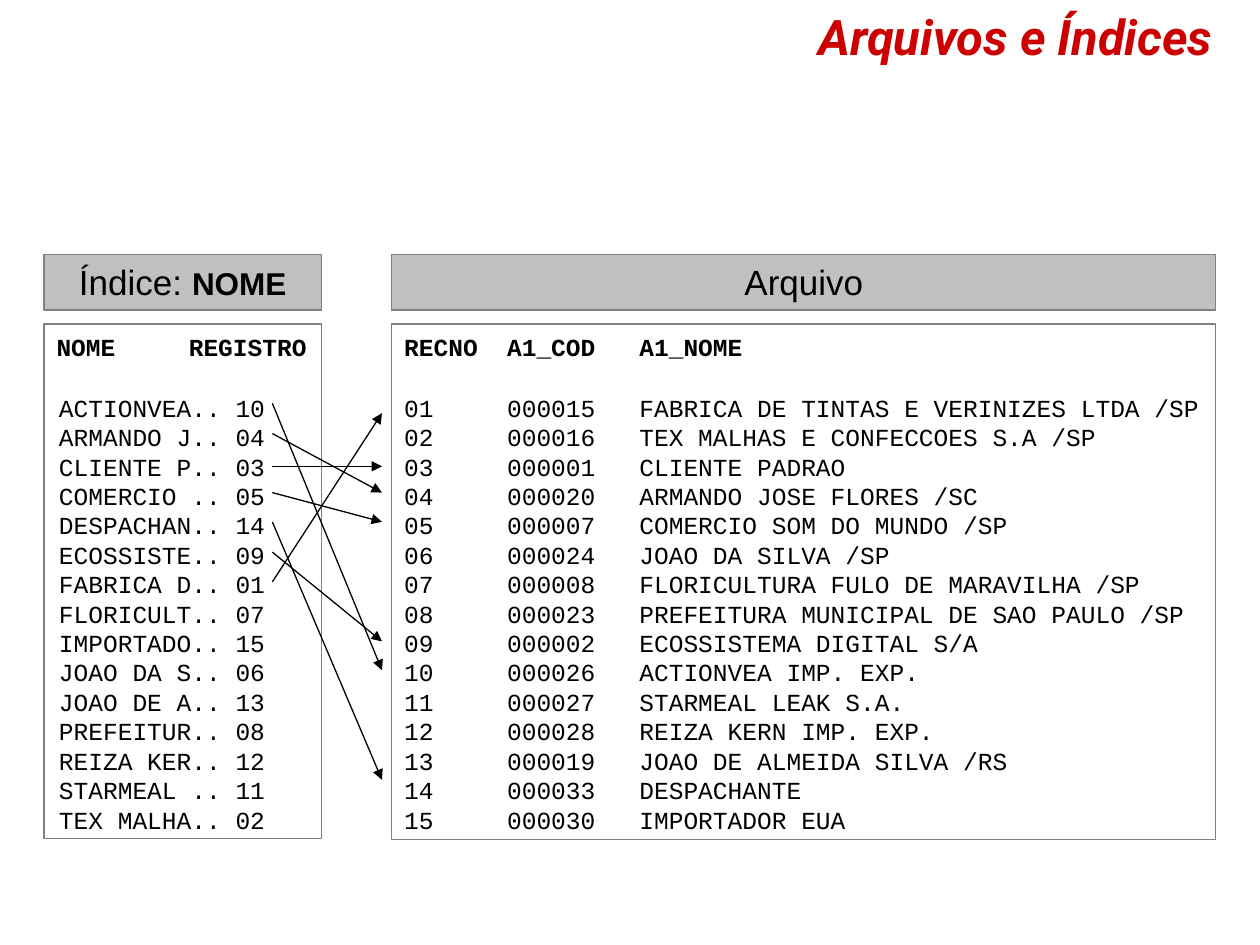
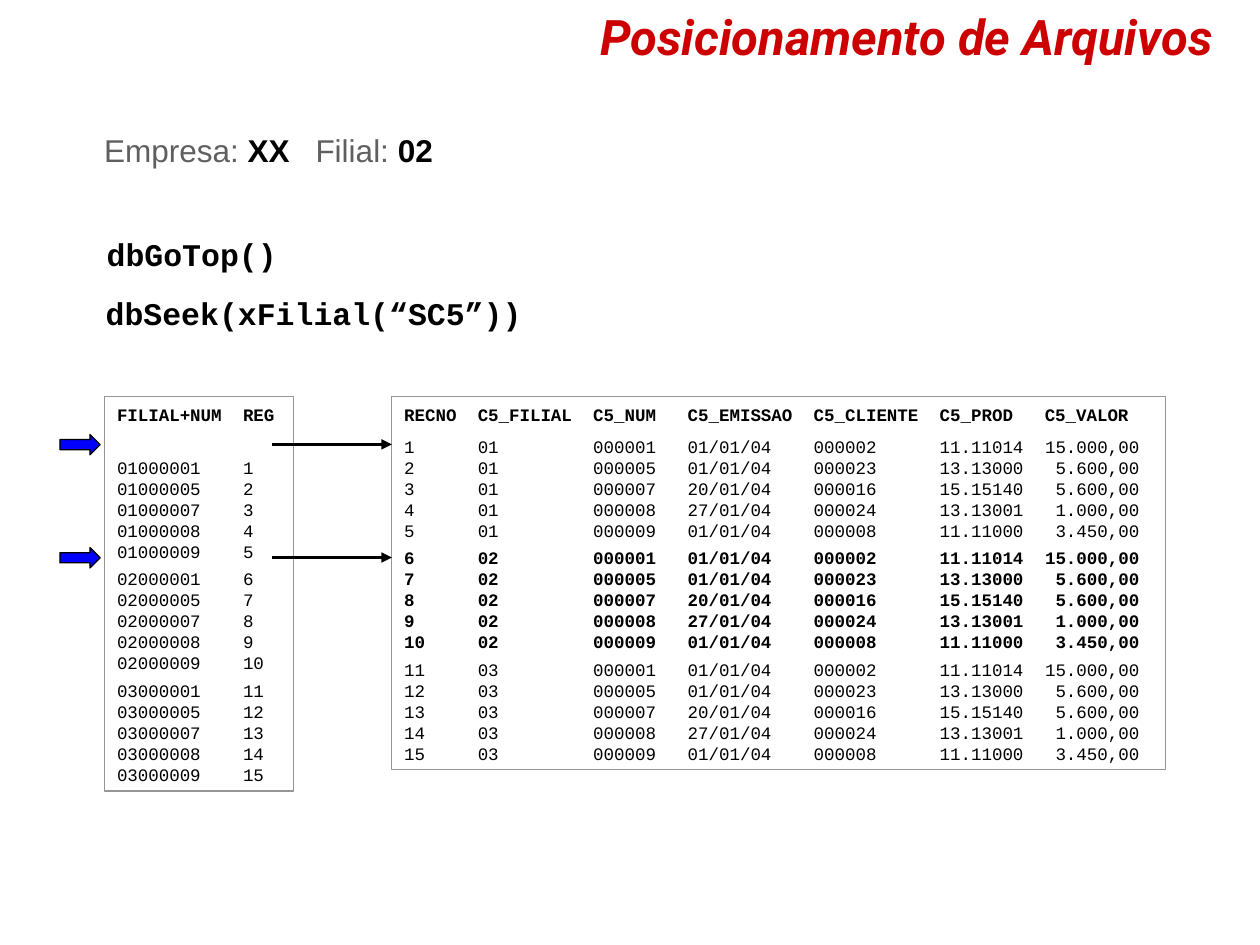
from lxml import etree
from pptx import Presentation
from pptx.dml.color import RGBColor
from pptx.enum.shapes import MSO_CONNECTOR, MSO_SHAPE
from pptx.enum.text import MSO_ANCHOR, PP_ALIGN
from pptx.oxml.ns import qn
from pptx.util import Cm, Pt

RECTANGLE = MSO_SHAPE.RECTANGLE
BLOCK_ARROW = MSO_SHAPE.RIGHT_ARROW
STRAIGHT = MSO_CONNECTOR.STRAIGHT
TOP = MSO_ANCHOR.TOP
LEFT, CENTER, RIGHT = PP_ALIGN.LEFT, PP_ALIGN.CENTER, PP_ALIGN.RIGHT

COLORS = {
    "title": "CC0000", "text": "000000", "label": "5F5F5F", "paper": "FFFFFF",
    "band": "C0C0C0", "band_line": "808080", "panel_line": "969696", "pointer": "0000FF",
}
MONO = "Courier New"
TITLE = {"name": "Roboto", "size": 28, "bold": True, "italic": True, "color": "title"}
BAND = {"name": "Arial", "size": 20, "color": "text"}
BAND_KEY = {"name": "Arial", "size": 18, "bold": True, "color": "text"}
LABEL = {"name": "Arial", "size": 18, "color": "label"}
CODE = {"name": MONO, "size": 18, "bold": True, "color": "text"}
ROW = {"name": MONO, "size": 14, "color": "text"}
HEADER = {**ROW, "bold": True}
SMALL_ROW = {**ROW, "size": 10}
SMALL_HEADER = {**SMALL_ROW, "bold": True}

INDEX_ENTRIES = [
    "ACTIONVEA.. 10", "ARMANDO J.. 04", "CLIENTE P.. 03", "COMERCIO .. 05",
    "DESPACHAN.. 14", "ECOSSISTE.. 09", "FABRICA D.. 01", "FLORICULT.. 07",
    "IMPORTADO.. 15", "JOAO DA S.. 06", "JOAO DE A.. 13", "PREFEITUR.. 08",
    "REIZA KER.. 12", "STARMEAL .. 11", "TEX MALHA.. 02",
]
CUSTOMERS = [
    ("000015", "FABRICA DE TINTAS E VERINIZES LTDA /SP"),
    ("000016", "TEX MALHAS E CONFECCOES S.A /SP"),
    ("000001", "CLIENTE PADRAO"),
    ("000020", "ARMANDO JOSE FLORES /SC"),
    ("000007", "COMERCIO SOM DO MUNDO /SP"),
    ("000024", "JOAO DA SILVA /SP"),
    ("000008", "FLORICULTURA FULO DE MARAVILHA /SP"),
    ("000023", "PREFEITURA MUNICIPAL DE SAO PAULO /SP"),
    ("000002", "ECOSSISTEMA DIGITAL S/A"),
    ("000026", "ACTIONVEA IMP. EXP."),
    ("000027", "STARMEAL LEAK S.A."),
    ("000028", "REIZA KERN IMP. EXP."),
    ("000019", "JOAO DE ALMEIDA SILVA /RS"),
    ("000033", "DESPACHANTE"),
    ("000030", "IMPORTADOR EUA"),
]
LINK_OFFSETS = [
    (0, 5.38), (0.61, 1.8), (1.27, 1.27), (1.8, 2.39),
    (2.39, 7.59), (3, 4.8), (3.6, 0.2),
]
ORDERS = [
    ("000001", "01/01/04", "000002", "11.11014", "15.000,00"),
    ("000005", "01/01/04", "000023", "13.13000", "5.600,00"),
    ("000007", "20/01/04", "000016", "15.15140", "5.600,00"),
    ("000008", "27/01/04", "000024", "13.13001", "1.000,00"),
    ("000009", "01/01/04", "000008", "11.11000", "3.450,00"),
]
ORDER_FIELDS = ["RECNO", "C5_FILIAL", "C5_NUM", "C5_EMISSAO", "C5_CLIENTE", "C5_PROD", "C5_VALOR"]
ORDER_COLUMNS = [7, 18, 27, 39, 51]
BRANCHES = ["01", "02", "03"]
CURRENT_BRANCH = "02"


def color(key):
    """Return a palette colour."""
    return RGBColor.from_string(COLORS[key])


def box_lengths(box):
    """Convert a box in centimetres to lengths."""
    return [Cm(value) for value in box]


def line(runs, align=LEFT, before=0, stops=()):
    """Describe one paragraph; stops holds (points, alignment letter) pairs."""
    return {"runs": runs, "align": align, "before": before, "stops": stops}


def column_stops(columns, size, last_right=None):
    """Turn character columns of monospaced text into tab stops."""
    stops = [(column * size * 0.6, "l") for column in columns]
    if last_right:
        stops.append((last_right * size * 0.6, "r"))
    return stops


def add_stops(paragraph, stops):
    """Add tab stops to a paragraph."""
    tab_list = etree.SubElement(paragraph._p.get_or_add_pPr(), qn("a:tabLst"))
    for position, align in stops:
        etree.SubElement(tab_list, qn("a:tab"), pos=str(Pt(position)), algn=align)


def write(shape, lines):
    """Write paragraphs into a shape with a line pitch of 1.2 times the size."""
    frame = shape.text_frame
    first_font = lines[0]["runs"][0][1]
    lift = 0.06 * first_font["size"] if first_font["name"] == MONO else 0
    settings = {
        "word_wrap": True, "vertical_anchor": TOP, "margin_left": Cm(0.25),
        "margin_right": 0 if lift else Cm(0.25),
        "margin_top": Pt(3.6 + lift), "margin_bottom": 0,
    }
    for name, value in settings.items():
        setattr(frame, name, value)
    for number, item in enumerate(lines):
        paragraph = frame.add_paragraph() if number else frame.paragraphs[0]
        if item["stops"]:
            add_stops(paragraph, item["stops"])
        size = max(style["size"] for _, style in item["runs"])
        formats = {
            "alignment": item["align"], "line_spacing": Pt(1.2 * size),
            "space_before": Pt(item["before"]),
        }
        for name, value in formats.items():
            setattr(paragraph, name, value)
        for text, style in item["runs"]:
            run = paragraph.add_run()
            run.text = text
            run.font.color.rgb = color(style["color"])
            values = {"bold": False, **style, "size": Pt(style["size"])}
            for name in ("name", "size", "bold", "italic"):
                setattr(run.font, name, values.get(name))


def add_text(slide, box, lines):
    """Add a text box."""
    write(slide.shapes.add_textbox(*box_lengths(box)), lines)


def add_block(slide, kind, box, fill, outline, lines=()):
    """Add a filled and outlined shape, with text if there is any."""
    shape = slide.shapes.add_shape(kind, *box_lengths(box))
    shape.shadow.inherit = False
    shape.fill.solid()
    shape.fill.fore_color.rgb = color(fill)
    shape.line.color.rgb = color(outline)
    shape.line.width = Pt(0.75)
    if lines:
        write(shape, lines)


def add_arrow(slide, start, end, width):
    """Add a straight line with a triangular head at its end."""
    connector = slide.shapes.add_connector(STRAIGHT, *box_lengths(start + end))
    connector.line.color.rgb = color("text")
    connector.line.width = Pt(width)
    etree.SubElement(connector.line._get_or_add_ln(), qn("a:tailEnd"), type="triangle")
    etree.SubElement(connector._element.spPr, qn("a:effectLst"))


def add_slide(presentation, title):
    """Add a blank slide with the shared title."""
    slide = presentation.slides.add_slide(presentation.slide_layouts[6])
    add_text(slide, (0.69, 0, 24, 1.45), [line([(title, TITLE)], RIGHT)])
    return slide


def add_listing(slide, box, caption, header, rows, shift):
    """Place a caption band, a framed header and its rows from the box's corner."""
    left, top, width, height = box
    add_block(slide, RECTANGLE, (left, top, width, 1.12), "band", "band_line",
              [line(caption, CENTER)])
    add_block(slide, RECTANGLE, (left, top + 1.4, width, height - 1.4),
              "paper", "band_line", [header])
    add_text(slide, (left + shift, top + 2.63, width, height - 2.63), rows)


def add_links(slide, box):
    """Draw the arrows from index entries to records across the box."""
    left, top, width = box
    for start, end in LINK_OFFSETS:
        add_arrow(slide, (left, top + start), (left + width, top + end), 0.75)


def build_index_slide(presentation):
    """Build the slide on files and indexes."""
    slide = add_slide(presentation, "Arquivos e Índices")
    stops = column_stops([7, 16], 14)
    records = [
        line([(f"{number:02}\t{code}\t{name}", ROW)], stops=stops)
        for number, (code, name) in enumerate(CUSTOMERS, 1)
    ]
    add_listing(slide, (7.9, 5.13, 16.61, 11.79), [("Arquivo", BAND)],
                line([("RECNO\tA1_COD\tA1_NOME", HEADER)], stops=stops), records, 0)
    add_listing(slide, (0.89, 5.13, 5.59, 11.77), [("Índice: ", BAND), ("NOME", BAND_KEY)],
                line([("NOME\tREGISTRO", HEADER)], stops=column_stops([9], 14)),
                [line([(entry, ROW)]) for entry in INDEX_ENTRIES], 0.05)
    add_links(slide, (5.49, 8.13, 2.21))


def add_orders(slide, index_box, file_box):
    """Fill the index panel and the order file panel, grouped by branch."""
    index_stops = column_stops([12], 10)
    order_stops = column_stops(ORDER_COLUMNS, 10, 70)
    index_lines = [line([("FILIAL+NUM\tREG", SMALL_HEADER)], stops=index_stops)]
    order_lines = [line([("\t".join(ORDER_FIELDS), SMALL_HEADER)],
                        stops=column_stops(ORDER_COLUMNS + [61], 10))]
    keys = [(branch, order) for branch in BRANCHES for order in ORDERS]
    for number, (branch, order) in enumerate(keys, 1):
        starts_branch = order is ORDERS[0]
        before = 6.2 if number == 1 else 3.7 if starts_branch else 0
        index_before = before + 12 if number == 1 else before
        style = SMALL_HEADER if branch == CURRENT_BRANCH else SMALL_ROW
        index_lines.append(line([(f"{branch}{order[0]}\t{number}", SMALL_ROW)],
                                before=index_before, stops=index_stops))
        order_lines.append(line([("\t".join([str(number), branch, *order]), style)],
                                before=before, stops=order_stops))
    add_block(slide, RECTANGLE, file_box, "paper", "panel_line", order_lines)
    add_block(slide, RECTANGLE, index_box, "paper", "panel_line", index_lines)


def add_pointer(slide, box):
    """Place a block arrow at the box's corner and a line arrow to its right edge."""
    left, top, width = box
    add_block(slide, BLOCK_ARROW, (left, top, 0.81, 0.41), "pointer", "text")
    middle = top + 0.2
    add_arrow(slide, (left + 4.28, middle), (left + width, middle), 1.5)


def build_position_slide(presentation):
    """Build the slide on positioning within files."""
    slide = add_slide(presentation, "Posicionamento de Arquivos")
    company = [("Empresa: ", LABEL), ("XX\t", BAND_KEY), ("Filial: ", LABEL), ("02", BAND_KEY)]
    add_text(slide, (1.85, 2.51, 7.6, 1.02), [line(company, stops=[(120.8, "l")])])
    add_text(slide, (1.9, 4.57, 4.2, 1.02), [line([("dbGoTop()", CODE)])])
    add_text(slide, (1.88, 5.77, 9, 1.02), [line([("dbSeek(xFilial(“SC5”))", CODE)])])
    add_orders(slide, (2.11, 8, 3.81, 7.95), (7.9, 8, 15.6, 7.52))
    for top in (8.76, 11.04):
        add_pointer(slide, (1.21, top, 6.69))


def main():
    """Build and save the presentation."""
    presentation = Presentation()
    presentation.slide_width = Cm(25.4)
    presentation.slide_height = Cm(19.05)
    build_index_slide(presentation)
    build_position_slide(presentation)
    presentation.save("out.pptx")


if __name__ == "__main__":
    main()
